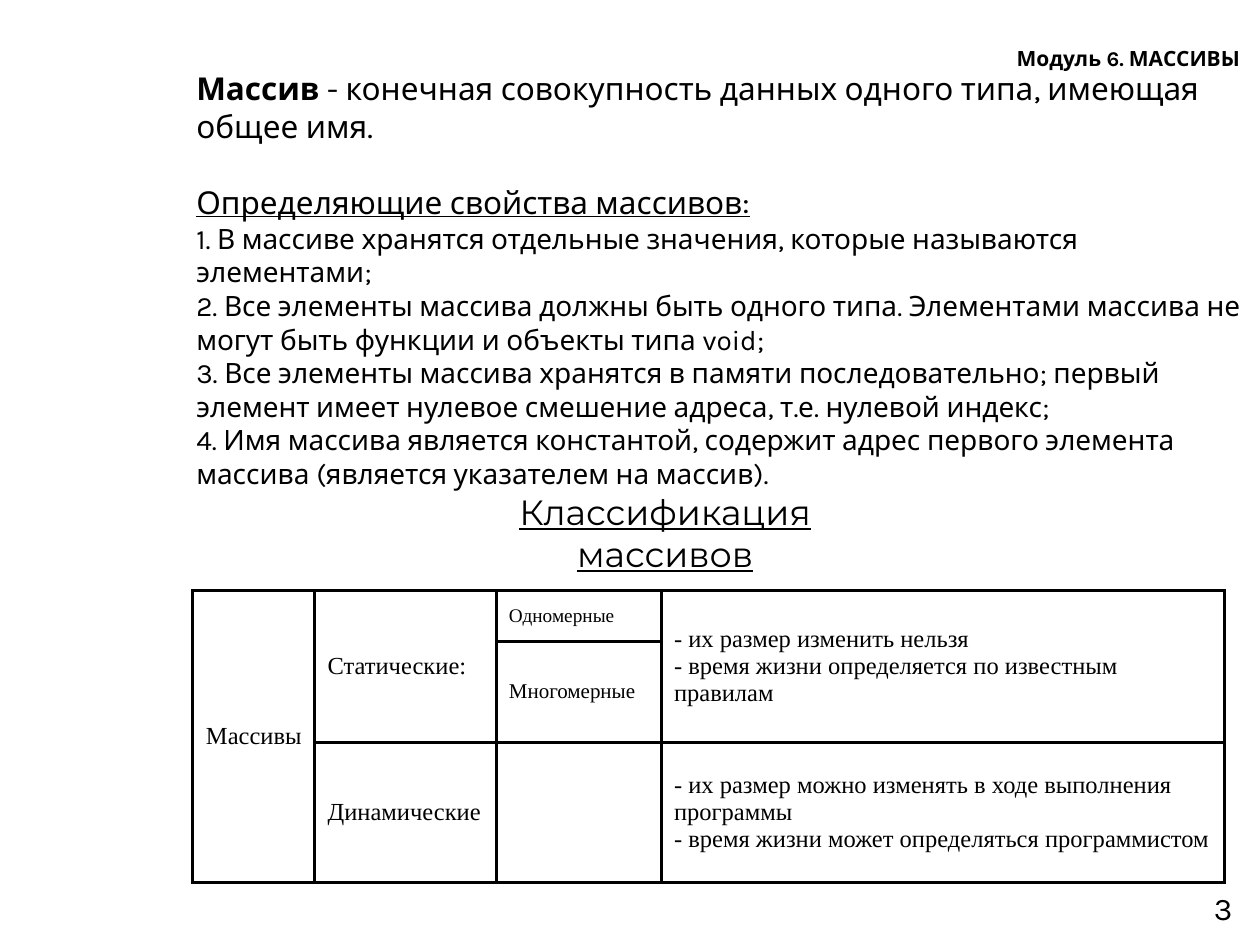
import pptx
import pptx.util
import pptx.dml.color
import pptx.enum.text
import pptx.oxml.ns
import lxml.etree

Inches = pptx.util.Inches
Pt = pptx.util.Pt
ALIGN = pptx.enum.text.PP_ALIGN
ANCHOR = pptx.enum.text.MSO_ANCHOR
AUTO = pptx.enum.text.MSO_AUTO_SIZE

THEME = {
    "ink": "000000", "paper": "FFFFFF", "border": 2,
    "body": "Karla", "heading": "Montserrat", "table": "Times New Roman",
    "lead": 18, "list": 16, "title": 20, "module": 12,
    "cell": 14, "cell_mid": 12, "cell_small": 11, "gap": 22,
}

DEFINITION = [
    ("Массив", {"bold": True}),
    (" - конечная совокупность данных одного типа, имеющая общее имя.", {}),
]
PROPERTIES_TITLE = "Определяющие свойства массивов:"
PROPERTIES = [
    "1. В массиве хранятся отдельные значения, которые называются элементами;",
    "2. Все элементы массива должны быть одного типа. Элементами массива не могут быть функции и объекты типа void;",
    "3. Все элементы массива хранятся в памяти последовательно; первый элемент имеет нулевое смешение адреса, "
    "т.е. нулевой индекс;",
    "4. Имя массива является константой, содержит адрес первого элемента массива (является указателем на массив).",
]

COLUMNS = [0.97, 1.44, 1.31, 4.47]
ROWS = [0.4, 0.61, 1.11]
MERGES = [((0, 0), (2, 0)), ((0, 1), (1, 1)), ((0, 3), (1, 3))]
CELLS = {
    (0, 0): ("cell", ["Массивы"]),
    (0, 1): ("cell", ["Статические:"]),
    (0, 2): ("cell_small", ["Одномерные"]),
    (0, 3): ("cell", ["- их размер изменить нельзя",
                      "- время жизни определяется по известным правилам"]),
    (1, 2): ("cell_mid", ["Многомерные"]),
    (2, 1): ("cell", ["Динамические"]),
    (2, 3): ("cell", ["- их размер можно изменять в ходе выполнения программы",
                      "- время жизни может определяться программистом"]),
}


def rgb(name):
    return pptx.dml.color.RGBColor.from_string(THEME[name])


def write(tf, paragraphs, font, align=ALIGN.LEFT):
    for i, (runs, size, before) in enumerate(paragraphs):
        p = tf.add_paragraph() if i else tf.paragraphs[0]
        p.alignment = align
        p.space_before = Pt(before)
        for text, formats in runs:
            r = p.add_run()
            r.text = text
            values = {"name": THEME[font], "size": Pt(THEME[size]), **formats}
            for key, value in values.items():
                setattr(r.font, key, value)
            r.font.color.rgb = rgb("ink")


def add_text(s, box, paragraphs, font="body", align=ALIGN.LEFT, anchor=ANCHOR.TOP, auto=AUTO.SHAPE_TO_FIT_TEXT):
    sp = s.shapes.add_textbox(*map(Inches, box))
    tf = sp.text_frame
    for key, value in {"word_wrap": True, "auto_size": auto, "vertical_anchor": anchor}.items():
        setattr(tf, key, value)
    write(tf, paragraphs, font, align)


def set_borders(cell):
    pr = cell._tc.get_or_add_tcPr()
    for i, side in enumerate(("lnL", "lnR", "lnT", "lnB")):
        ln = lxml.etree.Element(pptx.oxml.ns.qn("a:" + side), w=str(Pt(THEME["border"])))
        fill = lxml.etree.SubElement(ln, pptx.oxml.ns.qn("a:solidFill"))
        lxml.etree.SubElement(fill, pptx.oxml.ns.qn("a:srgbClr"), val=THEME["ink"])
        pr.insert(i, ln)


def add_classification(s):
    frame = s.shapes.add_table(len(ROWS), len(COLUMNS), Inches(1.53), Inches(4.69),
                               Inches(sum(COLUMNS)), Inches(sum(ROWS)))
    table = frame.table
    table.first_row = table.horz_banding = False
    for column, width in zip(table.columns, COLUMNS):
        column.width = Inches(width)
    for row, height in zip(table.rows, ROWS):
        row.height = Inches(height)
    for start, end in MERGES:
        table.cell(*start).merge(table.cell(*end))
    for cell in table.iter_cells():
        cell.fill.background()
        set_borders(cell)
    for place, (size, lines) in CELLS.items():
        cell = table.cell(*place)
        cell.vertical_anchor = ANCHOR.MIDDLE
        align = ALIGN.CENTER if place == (0, 0) else ALIGN.LEFT
        write(cell.text_frame, [([(line, {})], size, 0) for line in lines], "table", align)


def main():
    prs = pptx.Presentation()
    prs.slide_width, prs.slide_height = Inches(10), Inches(7.5)
    s = prs.slides.add_slide(prs.slide_layouts[6])
    s.background.fill.solid()
    s.background.fill.fore_color.rgb = rgb("paper")

    add_text(s, (7.55, 7.01, 2.33, 0.52), [([("3", {})], "lead", 0)], align=ALIGN.RIGHT, auto=AUTO.NONE)
    body = [(DEFINITION, "lead", 0), ([(PROPERTIES_TITLE, {"underline": True})], "lead", THEME["gap"])]
    body += [([(text, {})], "list", 0) for text in PROPERTIES]
    add_text(s, (1.46, 0.62, 8.54, 3.2), body, anchor=ANCHOR.MIDDLE)
    add_text(s, (3.35, 3.84, 3.86, 0.77), [([("Классификация массивов", {"underline": True})], "title", 0)],
             font="heading", align=ALIGN.CENTER, anchor=ANCHOR.MIDDLE)
    add_classification(s)
    add_text(s, (7.97, 0.31, 2.03, 0.3), [([("Модуль 6. МАССИВЫ", {"bold": True})], "module", 0)])
    prs.save("out.pptx")


if __name__ == "__main__":
    main()
